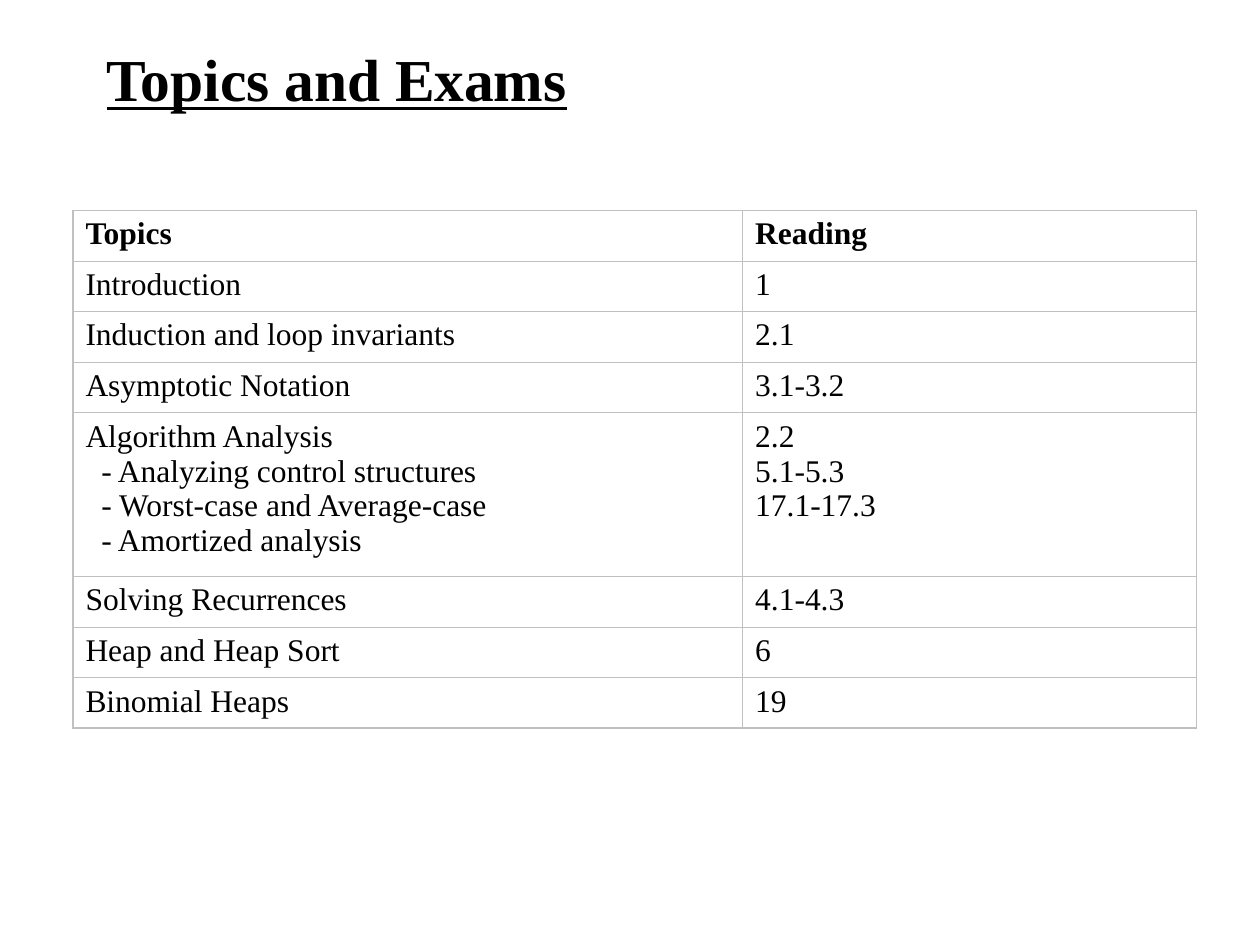
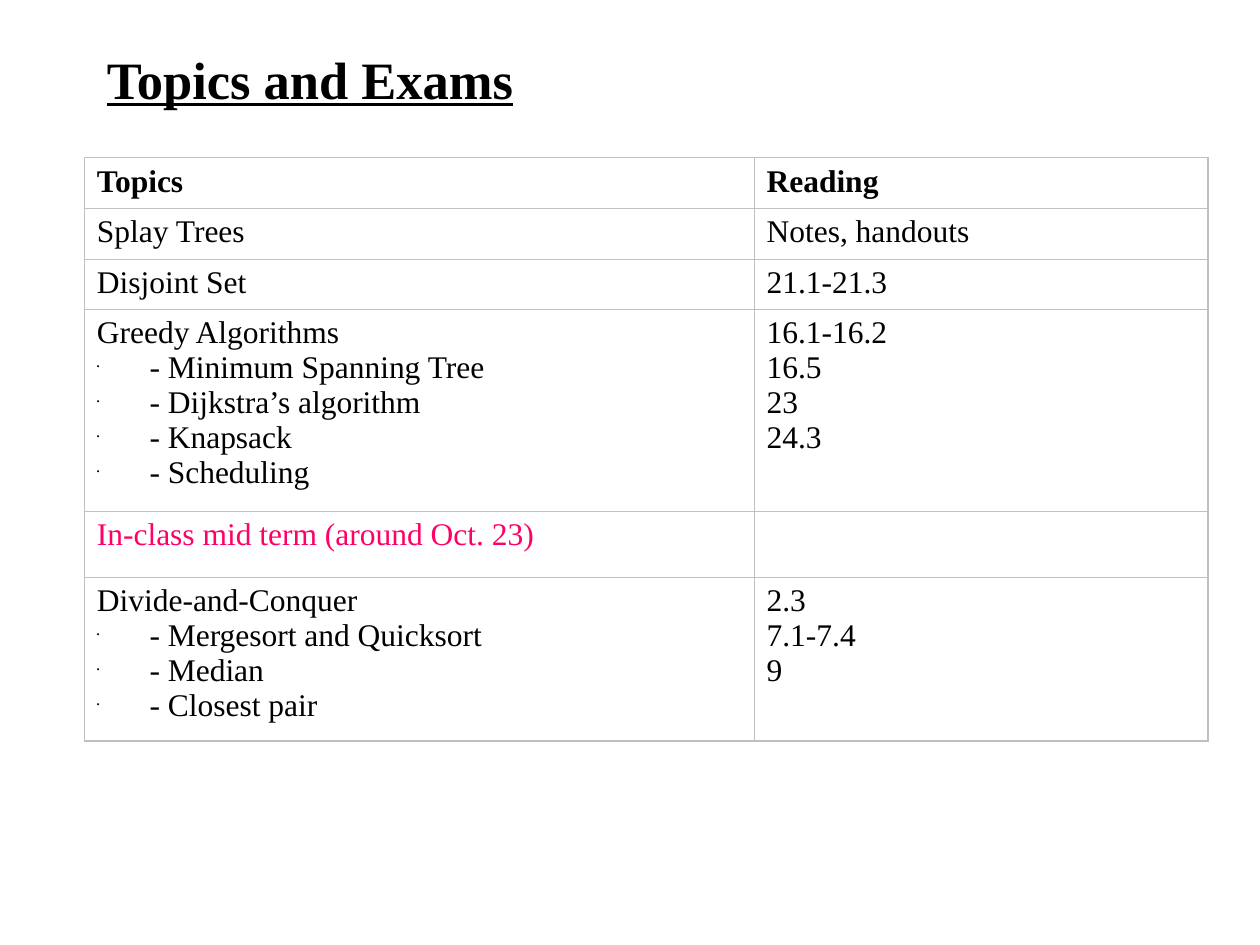
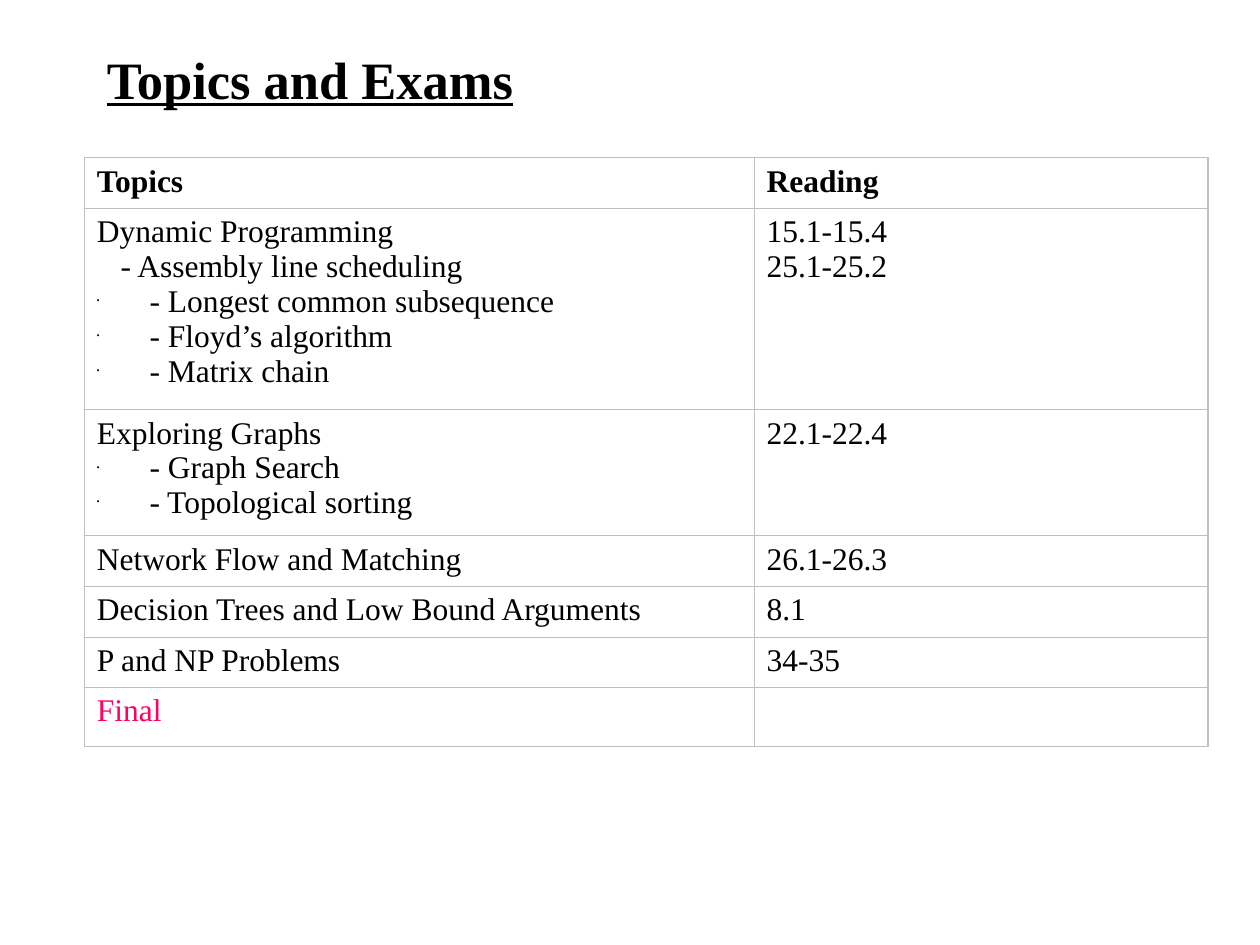
from dataclasses import dataclass

from lxml import etree
from pptx import Presentation
from pptx import util as u
from pptx.dml.color import RGBColor
from pptx.enum import text as t
from pptx.oxml import ns


@dataclass(frozen=True)
class Theme:
    font: str = "Times New Roman"
    ink: str = "000000"
    exam: str = "FF0066"
    border: str = "C0C0C0"
    body_size: float = 18
    outer_border: float = 0.96
    inner_border: float = 0.45


@dataclass(frozen=True)
class Line:
    text: str
    color: str = Theme.ink
    indent: float = 0
    bullet: bool = False


THEME = Theme()
COLUMN_WIDTHS = (13.5, 9.15)
SINGLE_ROW = 1.02


def dashed(text, indent=0.32):
    return Line("- " + text, indent=indent)


def bulleted(text):
    return Line("- " + text, indent=1.06, bullet=True)


def exam(text):
    return Line(text, color=THEME.exam)


# Each row: topic lines, reading lines, height in centimetres.
FOUNDATIONS = [
    (["Introduction"], ["1"], SINGLE_ROW),
    (["Induction and loop invariants"], ["2.1"], SINGLE_ROW),
    (["Asymptotic Notation"], ["3.1-3.2"], SINGLE_ROW),
    (["Algorithm Analysis",
      dashed("Analyzing control structures"),
      dashed("Worst-case and Average-case"),
      dashed("Amortized analysis")],
     ["2.2", "5.1-5.3", "17.1-17.3"], 3.3),
    (["Solving Recurrences"], ["4.1-4.3"], SINGLE_ROW),
    (["Heap and Heap Sort"], ["6"], SINGLE_ROW),
    (["Binomial Heaps"], ["19"], SINGLE_ROW),
]
UP_TO_MIDTERM = [
    (["Splay Trees"], ["Notes, handouts"], SINGLE_ROW),
    (["Disjoint Set"], ["21.1-21.3"], SINGLE_ROW),
    (["Greedy Algorithms",
      bulleted("Minimum Spanning Tree"),
      bulleted("Dijkstra’s algorithm"),
      bulleted("Knapsack"),
      bulleted("Scheduling")],
     ["16.1-16.2", "16.5", "23", "24.3"], 4.06),
    ([exam("In-class mid term (around Oct. 23)")], [], 1.34),
    (["Divide-and-Conquer",
      bulleted("Mergesort and Quicksort"),
      bulleted("Median"),
      bulleted("Closest pair")],
     ["2.3", "7.1-7.4", "9"], 3.3),
]
UP_TO_FINAL = [
    (["Dynamic Programming",
      dashed("Assembly line scheduling", indent=0.48),
      bulleted("Longest common subsequence"),
      bulleted("Floyd’s algorithm"),
      bulleted("Matrix chain")],
     ["15.1-15.4", "25.1-25.2"], 4.06),
    (["Exploring Graphs",
      bulleted("Graph Search"),
      bulleted("Topological sorting")],
     ["22.1-22.4"], 2.54),
    (["Network Flow and Matching"], ["26.1-26.3"], SINGLE_ROW),
    (["Decision Trees and Low Bound Arguments"], ["8.1"], SINGLE_ROW),
    (["P and NP Problems"], ["34-35"], SINGLE_ROW),
    ([exam("Final")], [], 1.19),
]


def add_run(paragraph, text, size, color=THEME.ink, bold=False, underline=False):
    run = paragraph.add_run()
    run.text = text
    run.font.name = THEME.font
    run.font.size = u.Pt(size)
    run.font.bold = bold
    run.font.underline = underline
    run.font.color.rgb = RGBColor.from_string(color)


def add_color(parent, color):
    etree.SubElement(parent, ns.qn("a:srgbClr"), val=color)


def indent_line(paragraph, line):
    """Indent the text; a bullet hangs at the cell's left edge."""
    props = paragraph._p.get_or_add_pPr()
    margin = u.Cm(line.indent)
    props.set("marL", str(margin))
    props.set("indent", str(-margin if line.bullet else 0))
    if line.bullet:
        add_color(etree.SubElement(props, ns.qn("a:buClr")), THEME.ink)
        etree.SubElement(props, ns.qn("a:buSzPct"), val="25000")
        etree.SubElement(props, ns.qn("a:buChar"), char="•")


def set_borders(cell, outer_sides):
    """Draw all four sides, heavier where the side lies on the table's edge."""
    props = cell._tc.get_or_add_tcPr()
    for position, side in enumerate("LRTB"):
        width = THEME.outer_border if side in outer_sides else THEME.inner_border
        border = etree.Element(ns.qn("a:ln" + side), w=str(u.Pt(width)))
        add_color(etree.SubElement(border, ns.qn("a:solidFill")), THEME.border)
        props.insert(position, border)


def fill_cell(cell, lines, bold):
    cell.fill.background()
    frame = cell.text_frame
    for number, line in enumerate(lines):
        if isinstance(line, str):
            line = Line(line)
        paragraph = frame.add_paragraph() if number else frame.paragraphs[0]
        if line.indent:
            indent_line(paragraph, line)
        add_run(paragraph, line.text, THEME.body_size, line.color, bold)


def add_title(slide, text, size):
    title = slide.shapes.title
    title.left, title.top = u.Cm(1.9), u.Cm(0.84)
    title.width, title.height = u.Cm(17.15), u.Cm(1.47)
    frame = title.text_frame
    frame.auto_size = t.MSO_AUTO_SIZE.NONE
    frame.vertical_anchor = t.MSO_ANCHOR.MIDDLE
    paragraph = frame.paragraphs[0]
    paragraph.alignment = t.PP_ALIGN.LEFT
    add_run(paragraph, text, size, bold=True, underline=True)


def add_reading_table(slide, left, top, topics):
    rows = [(["Topics"], ["Reading"], SINGLE_ROW)] + topics
    frame = slide.shapes.add_table(
        len(rows), len(COLUMN_WIDTHS), u.Cm(left), u.Cm(top),
        u.Cm(sum(COLUMN_WIDTHS)), u.Cm(sum(row[-1] for row in rows)))
    table = frame.table
    table.first_row = table.horz_banding = False
    for column, width in zip(table.columns, COLUMN_WIDTHS):
        column.width = u.Cm(width)
    for row_number, (*cells, height) in enumerate(rows):
        table.rows[row_number].height = u.Cm(height)
        edge = {0: "T", len(rows) - 1: "B"}.get(row_number, "")
        for column_number, lines in enumerate(cells):
            cell = table.cell(row_number, column_number)
            fill_cell(cell, lines, bold=row_number == 0)
            set_borders(cell, edge + "LR"[column_number])


def main():
    deck = Presentation()
    deck.slide_width, deck.slide_height = u.Cm(25.4), u.Cm(19.05)
    title_only = deck.slide_layouts[5]
    for title_size, left, top, topics in (
        (34, 1.47, 4.24, FOUNDATIONS),
        (30, 1.7, 3.18, UP_TO_MIDTERM),
        (30, 1.7, 3.18, UP_TO_FINAL),
    ):
        slide = deck.slides.add_slide(title_only)
        add_title(slide, "Topics and Exams", title_size)
        add_reading_table(slide, left, top, topics)
    deck.save("out.pptx")


if __name__ == "__main__":
    main()
